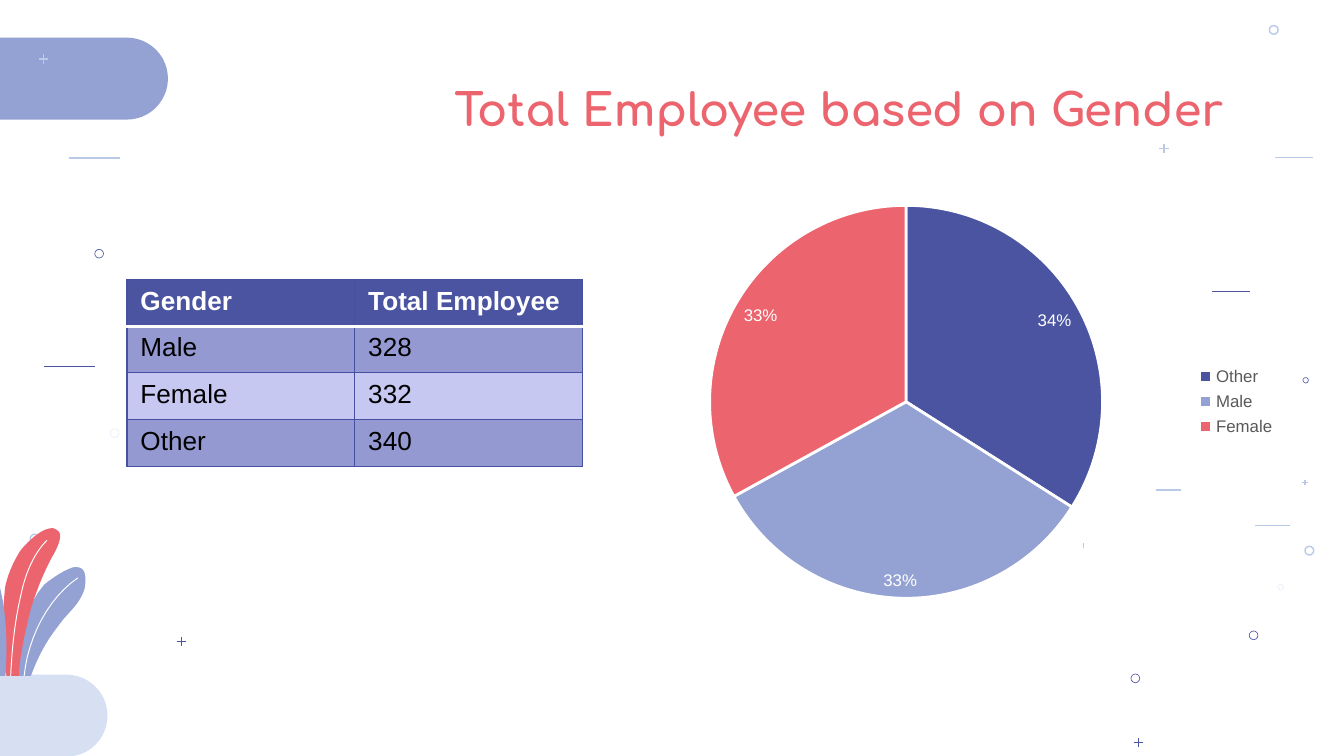
from dataclasses import dataclass
from typing import NamedTuple

from lxml.etree import SubElement
from pptx import Presentation
from pptx.chart.data import CategoryChartData
from pptx.dml.color import RGBColor
from pptx.enum.chart import XL_CHART_TYPE, XL_LABEL_POSITION, XL_LEGEND_POSITION
from pptx.enum.shapes import MSO_CONNECTOR, MSO_SHAPE
from pptx.enum.text import MSO_ANCHOR, PP_ALIGN
from pptx.oxml.ns import qn
from pptx.util import Inches, Pt

WIDE = Inches(10)
HIGH = WIDE * 9 // 16
CELL = WIDE // 1000

NAVY, BLUE, PALE, SKY = "4B54A1", "94A2D3", "D7DFF2", "B9CAE9"
MIST, CORAL, WHITE, BLACK = "E8ECF8", "EC646E", "FFFFFF", "000000"
EDGE, DARK, LIGHT, GREY = "4750A0", "9599D1", "C6C8F1", "595959"
THIN, FINE, VEIN = 0.33, 0.75, 0.52


class Pill(NamedTuple):
    left: int
    top: int
    tint: str


class Dash(NamedTuple):
    left: float
    top: float
    run: float
    drop: float
    tint: str
    width: float


class Ring(NamedTuple):
    left: float
    top: float
    size: float
    tint: str
    width: float


class Plus(NamedTuple):
    mid: float
    top: float
    size: float
    tint: str
    width: float


@dataclass
class Leaf:
    start: tuple
    steps: list
    tint: str
    closed: bool = True


PILLS = [Pill(-82, 28, BLUE), Pill(-127, 502, PALE)]

DASHES = [
    Dash(806, 404, 0, 4, SKY, THIN),
    Dash(51, 117.5, 38, 0, SKY, FINE),
    Dash(902, 217, 28, 0, NAVY, THIN),
    Dash(32.5, 272.5, 38, 0, NAVY, THIN),
    Dash(860, 364.5, 18.5, 0, SKY, FINE),
    Dash(934, 391, 26, 0, SKY, FINE),
    Dash(949, 117, 28, 0, SKY, FINE),
]

PLUSES = [
    Plus(866, 107, 7, SKY, FINE),
    Plus(971, 357, 4, SKY, FINE),
    Plus(32.5, 40.5, 7, SKY, FINE),
    Plus(135, 474, 7, NAVY, THIN),
    Plus(847, 549, 7, NAVY, THIN),
]

RINGS = [
    Ring(969.5, 281, 4, NAVY, THIN),
    Ring(70.5, 185.5, 6.5, NAVY, THIN),
    Ring(951, 435, 4, MIST, THIN),
    Ring(82, 319, 6.5, MIST, THIN),
    Ring(841.5, 501.5, 6.5, NAVY, THIN),
    Ring(929.5, 469.5, 6.5, NAVY, THIN),
    Ring(971, 406.5, 6.5, SKY, FINE),
    Ring(22.5, 397.5, 6.5, SKY, FINE),
    Ring(944.5, 19, 6.5, SKY, FINE),
]

LEAVES = [
    Leaf((57, 422), [(65, 422, 64, 432, 63, 438), (60, 448, 53, 454, 47, 461),
                     (37, 474, 31, 482, 23, 503), (11, 503),
                     (11, 503, 13, 457, 33, 435), (39, 430, 48, 424, 55, 422)], BLUE),
    Leaf((39, 393), [(40, 393, 42, 394, 43, 395), (48, 398, 41, 411, 39, 414),
                     (32, 427, 27, 440, 23, 453), (19, 469, 15, 486, 14, 502),
                     (14, 503), (5, 503), (0, 493, 2, 450, 4, 436),
                     (6, 427, 10, 418, 15, 410), (19, 405, 30, 393, 39, 393)], CORAL),
    Leaf((-33, 392), [(-27, 392, -15, 403, -6, 421), (5, 442, 6, 479, 4, 503),
                      (-9, 503), (-17, 494, -44, 422, -37, 396),
                      (-36, 393, -35, 392, -33, 392)], BLUE),
    Leaf((58, 430), [(36, 445, 21, 474, 18, 503)], WHITE, False),
    Leaf((35, 402), [(25, 412, 19, 427, 16, 441), (11, 462, 9, 482, 8, 503)],
         WHITE, False),
]

ROWS = [("Gender", "Total Employee"), ("Male", "328"), ("Female", "332"), ("Other", "340")]
SHARES = [("Other", 34, NAVY), ("Male", 33, BLUE), ("Female", 33, CORAL)]


def hue(code: str) -> RGBColor:
    return RGBColor.from_string(code)


def grid(*spans: float) -> list:
    return [round(span * CELL) for span in spans]


def paint(shape, tint: str) -> None:
    shape.shadow.inherit = False
    shape.fill.solid()
    shape.fill.fore_color.rgb = hue(tint)
    shape.line.fill.background()


def trace(shape, tint: str, width: float) -> None:
    shape.shadow.inherit = False
    shape.fill.background()
    shape.line.color.rgb = hue(tint)
    shape.line.width = Pt(width)


def style(font, size: float, tint: str, face: str = "Arial", bold: bool = False) -> None:
    font.size, font.name, font.bold = Pt(size), face, bold
    font.color.rgb = hue(tint)


def draw_pill(shapes, pill: Pill) -> None:
    shape = shapes.add_shape(MSO_SHAPE.ROUNDED_RECTANGLE, *grid(pill.left, pill.top, 207, 61))
    shape.adjustments[0] = 0.5
    paint(shape, pill.tint)


def draw_dash(shapes, dash: Dash) -> None:
    ends = grid(dash.left, dash.top, dash.left + dash.run, dash.top + dash.drop)
    line = shapes.add_connector(MSO_CONNECTOR.STRAIGHT, *ends)
    line.line.color.rgb = hue(dash.tint)
    line.line.width = Pt(dash.width)
    SubElement(line.element.spPr, qn("a:effectLst"))


def draw_plus(shapes, plus: Plus) -> None:
    half, look = plus.size / 2, (plus.tint, plus.width)
    draw_dash(shapes, Dash(plus.mid, plus.top, 0, plus.size, *look))
    draw_dash(shapes, Dash(plus.mid - half, plus.top + half, plus.size, 0, *look))


def draw_ring(shapes, ring: Ring) -> None:
    box = grid(ring.left, ring.top, ring.size, ring.size)
    trace(shapes.add_shape(MSO_SHAPE.OVAL, *box), ring.tint, ring.width)


def bend(start: tuple, step: tuple, count: int = 12) -> list:
    """Return points along a cubic curve, or the end of a straight step."""
    if len(step) == 2:
        return [step]
    a, b, c, d = start, step[:2], step[2:4], step[4:]
    return [tuple((1 - t) ** 3 * p + 3 * t * (1 - t) ** 2 * q + 3 * t * t * (1 - t) * r + t ** 3 * s
                  for p, q, r, s in zip(a, b, c, d))
            for t in (i / count for i in range(1, count + 1))]


def draw_leaf(shapes, leaf: Leaf) -> None:
    spots = [leaf.start]
    for step in leaf.steps:
        spots += bend(spots[-1], step)
    pen = shapes.build_freeform(*grid(*spots[0]))
    pen.add_line_segments([grid(*spot) for spot in spots[1:]], close=leaf.closed)
    shape = pen.convert_to_shape()
    if leaf.closed:
        paint(shape, leaf.tint)
    else:
        trace(shape, leaf.tint, VEIN)


def draw_title(shapes, text: str) -> None:
    frame = shapes.add_textbox(*grid(80, 49, 840, 63)).text_frame
    frame.word_wrap = True
    frame.vertical_anchor = MSO_ANCHOR.MIDDLE
    frame.margin_left = frame.margin_right = frame.margin_top = frame.margin_bottom = 10 * CELL
    line = frame.paragraphs[0]
    line.alignment = PP_ALIGN.RIGHT
    run = line.add_run()
    run.text = text
    style(run.font, 24, CORAL, "Comfortaa", True)


def draw_chart(shapes) -> None:
    data = CategoryChartData()
    data.categories = [name for name, _, _ in SHARES]
    data.add_series("Series 1", [share for _, share, _ in SHARES])
    chart = shapes.add_chart(XL_CHART_TYPE.PIE, *grid(459, 139, 500, 320), data).chart
    style(chart.font, 10, BLACK)
    chart.has_title = False
    chart.has_legend = True
    chart.legend.position = XL_LEGEND_POSITION.RIGHT
    chart.legend.include_in_layout = False
    style(chart.legend.font, 9, GREY)
    plot = chart.plots[0]
    plot.vary_by_categories = True
    for i, (_, _, tint) in enumerate(SHARES):
        slice_ = plot.series[0].points[i].format
        slice_.fill.solid()
        slice_.fill.fore_color.rgb = hue(tint)
        slice_.line.color.rgb = hue(WHITE)
        slice_.line.width = Pt(1.5)
    plot.has_data_labels = True
    labels = plot.data_labels
    labels.show_percentage, labels.show_value = True, False
    labels.number_format, labels.number_format_is_linked = "0%", False
    labels.position = XL_LABEL_POSITION.INSIDE_END
    style(labels.font, 9, WHITE)


def rule(cell, row: int) -> None:
    """Put borders on a cell, with a white rule below the header."""
    props = cell._tc.get_or_add_tcPr()
    for i, side in enumerate("LRTB"):
        seam = (row, side) in ((0, "B"), (1, "T"))
        line = SubElement(props, qn(f"a:ln{side}"), w=str(Pt(2 if seam else FINE)))
        fill = SubElement(line, qn("a:solidFill"))
        SubElement(fill, qn("a:srgbClr"), val=WHITE if seam else EDGE)
        props.insert(i, line)


def draw_table(shapes) -> None:
    table = shapes.add_table(len(ROWS), 2, *grid(94.5, 208, 339, 139)).table
    for r, words in enumerate(ROWS):
        for c, word in enumerate(words):
            cell = table.cell(r, c)
            cell.fill.solid()
            cell.fill.fore_color.rgb = hue((NAVY, DARK, LIGHT, DARK)[r])
            rule(cell, r)
            run = cell.text_frame.paragraphs[0].add_run()
            run.text = word
            style(run.font, 14, BLACK if r else WHITE, bold=r == 0)


def main() -> None:
    deck = Presentation()
    deck.slide_width, deck.slide_height = WIDE, HIGH
    shapes = deck.slides.add_slide(deck.slide_layouts[6]).shapes
    for draw, items in ((draw_pill, PILLS), (draw_dash, DASHES), (draw_plus, PLUSES),
                        (draw_ring, RINGS), (draw_leaf, LEAVES)):
        for item in items:
            draw(shapes, item)
    draw_title(shapes, "Total Employee based on Gender")
    draw_chart(shapes)
    draw_table(shapes)
    deck.save("out.pptx")


if __name__ == "__main__":
    main()
